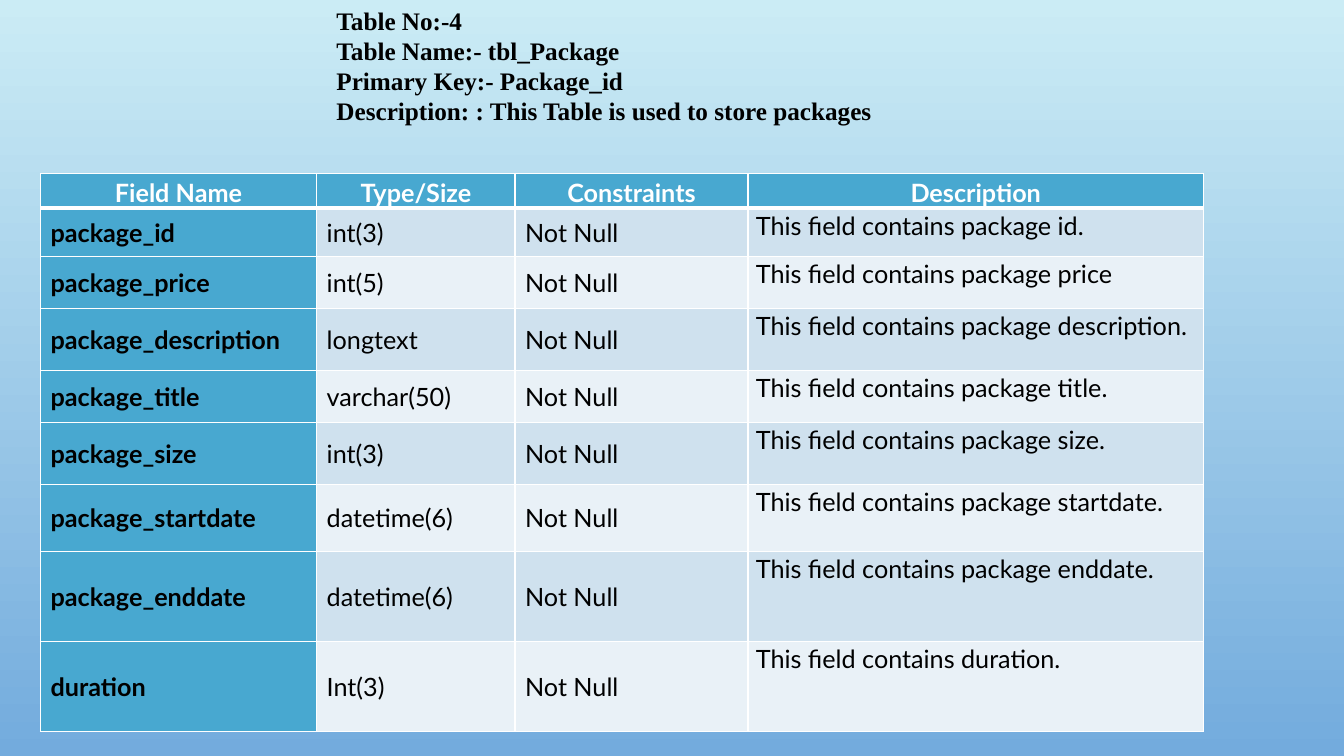
from dataclasses import dataclass
from typing import Any

from lxml.etree import SubElement
from pptx import Presentation
from pptx.dml.color import RGBColor as Rgb
from pptx.enum.text import MSO_ANCHOR as Anchor, MSO_AUTO_SIZE as AutoSize, PP_ALIGN as Align
from pptx.oxml.ns import qn
from pptx.util import Cm, Pt


@dataclass(frozen=True)
class Theme:
    sky_top: str = "CBECF5"
    sky_bottom: str = "73ABDD"
    accent: str = "48A8D0"
    bands: tuple[str, str] = ("CFE1EE", "E9F1F7")
    ink: str = "000000"
    white: str = "FFFFFF"
    heading_font: str = "Times New Roman"
    table_font: str = "Lato"
    size: int = 18
    thin: int = 1
    thick: int = 3


@dataclass(frozen=True)
class Field:
    name: str
    type_size: str
    description: str
    height: float
    constraint: str = "Not Null"

    def texts(self) -> tuple[str, ...]:
        return self.name, self.type_size, self.constraint, self.description


@dataclass(frozen=True)
class CellLook:
    fill: str
    color: str
    bold: bool
    cell: dict[str, Any]
    paragraph: dict[str, Any]


THEME = Theme()
HEADING = (
    "Table No:-4",
    "Table Name:- tbl_Package",
    "Primary Key:- Package_id",
    "Description: : This Table is used to store packages",
)
COLUMN_WIDTHS = (6.96, 5.0, 5.87, 11.48)
HEADER = Field("Field Name", "Type/Size", "Description", 0.86, "Constraints")
FIELDS = (
    Field("package_id", "int(3)", "This field contains package id.", 1.22),
    Field("package_price", "int(5)", "This field contains package price", 1.3),
    Field("package_description", "longtext", "This field contains package description.", 1.57),
    Field("package_title", "varchar(50)", "This field contains package title.", 1.3),
    Field("package_size", "int(3)", "This field contains package size.", 1.57),
    Field("package_startdate", "datetime(6)", "This field contains package startdate.", 1.7),
    Field("package_enddate", "datetime(6)", "This field contains package enddate.", 2.26),
    Field("duration", "Int(3)", "This field contains duration.", 2.26),
)
TIGHT_CELL = {"margin_left": Cm(0.2), "margin_right": Cm(0.2), "margin_top": 0, "margin_bottom": 0}
MIDDLE_CELL = {"vertical_anchor": Anchor.MIDDLE}


def apply_format(target: Any, values: dict[str, Any]) -> None:
    for attribute, value in values.items():
        setattr(target, attribute, value)


def write(paragraph: Any, text: str, font: str, color: str, bold: bool) -> None:
    run = paragraph.add_run()
    run.text = text
    apply_format(run.font, {"name": font, "size": Pt(THEME.size), "bold": bold})
    run.font.color.rgb = Rgb.from_string(color)


def paint_background(slide: Any) -> None:
    sky = slide.background.fill
    sky.gradient()
    sky.gradient_angle = 270
    for stop, color in zip(sky.gradient_stops, (THEME.sky_top, THEME.sky_bottom)):
        stop.color.rgb = Rgb.from_string(color)


def add_heading(slide: Any) -> None:
    heading = slide.shapes.add_textbox(Cm(8.23), Cm(0), Cm(21.59), Cm(3.33)).text_frame
    apply_format(heading, {"word_wrap": True, "auto_size": AutoSize.SHAPE_TO_FIT_TEXT})
    for index, line in enumerate(HEADING):
        paragraph = heading.add_paragraph() if index else heading.paragraphs[0]
        write(paragraph, line, THEME.heading_font, THEME.ink, True)


def add_borders(cell: Any, top: int, bottom: int) -> None:
    sides = {"a:lnL": THEME.thin, "a:lnR": THEME.thin, "a:lnT": top, "a:lnB": bottom}
    properties = cell._tc.get_or_add_tcPr()
    for side, width in sides.items():
        border = SubElement(properties, qn(side), w=str(Pt(width)))
        fill = SubElement(border, qn("a:solidFill"))
        SubElement(fill, qn("a:srgbClr"), val=THEME.white)


def look_of(row: int, column: int) -> CellLook:
    if row == 0:
        spacing = {"alignment": Align.CENTER, "line_spacing": 1.15, "space_after": Pt(8)}
        return CellLook(THEME.accent, THEME.white, True, TIGHT_CELL, spacing)
    if column == 0:
        return CellLook(THEME.accent, THEME.ink, True, MIDDLE_CELL, {})
    band = THEME.bands[(row - 1) % 2]
    if column == len(COLUMN_WIDTHS) - 1:
        spacing = {"line_spacing": 1.07, "space_after": Pt(8)}
        return CellLook(band, THEME.ink, False, TIGHT_CELL, spacing)
    return CellLook(band, THEME.ink, False, MIDDLE_CELL, {})


def fill_cell(cell: Any, text: str, row: int, column: int) -> None:
    look = look_of(row, column)
    add_borders(
        cell,
        top=THEME.thick if row == 1 else THEME.thin,
        bottom=THEME.thick if row == 0 else THEME.thin,
    )
    cell.fill.solid()
    cell.fill.fore_color.rgb = Rgb.from_string(look.fill)
    apply_format(cell, look.cell)
    paragraph = cell.text_frame.paragraphs[0]
    apply_format(paragraph, look.paragraph)
    write(paragraph, text, THEME.table_font, look.color, look.bold)


def add_field_table(slide: Any) -> None:
    records = (HEADER, *FIELDS)
    table = slide.shapes.add_table(
        len(records), len(COLUMN_WIDTHS), Cm(1.02), Cm(4.37),
        Cm(sum(COLUMN_WIDTHS)), Cm(sum(record.height for record in records)),
    ).table
    for column, width in zip(table.columns, COLUMN_WIDTHS):
        column.width = Cm(width)
    for row, record in enumerate(records):
        table.rows[row].height = Cm(record.height)
        for column, text in enumerate(record.texts()):
            fill_cell(table.cell(row, column), text, row, column)


def main() -> None:
    deck = Presentation()
    apply_format(deck, {"slide_width": Cm(33.87), "slide_height": Cm(19.05)})
    slide = deck.slides.add_slide(deck.slide_layouts[6])
    paint_background(slide)
    add_heading(slide)
    add_field_table(slide)
    deck.save("out.pptx")


if __name__ == "__main__":
    main()
